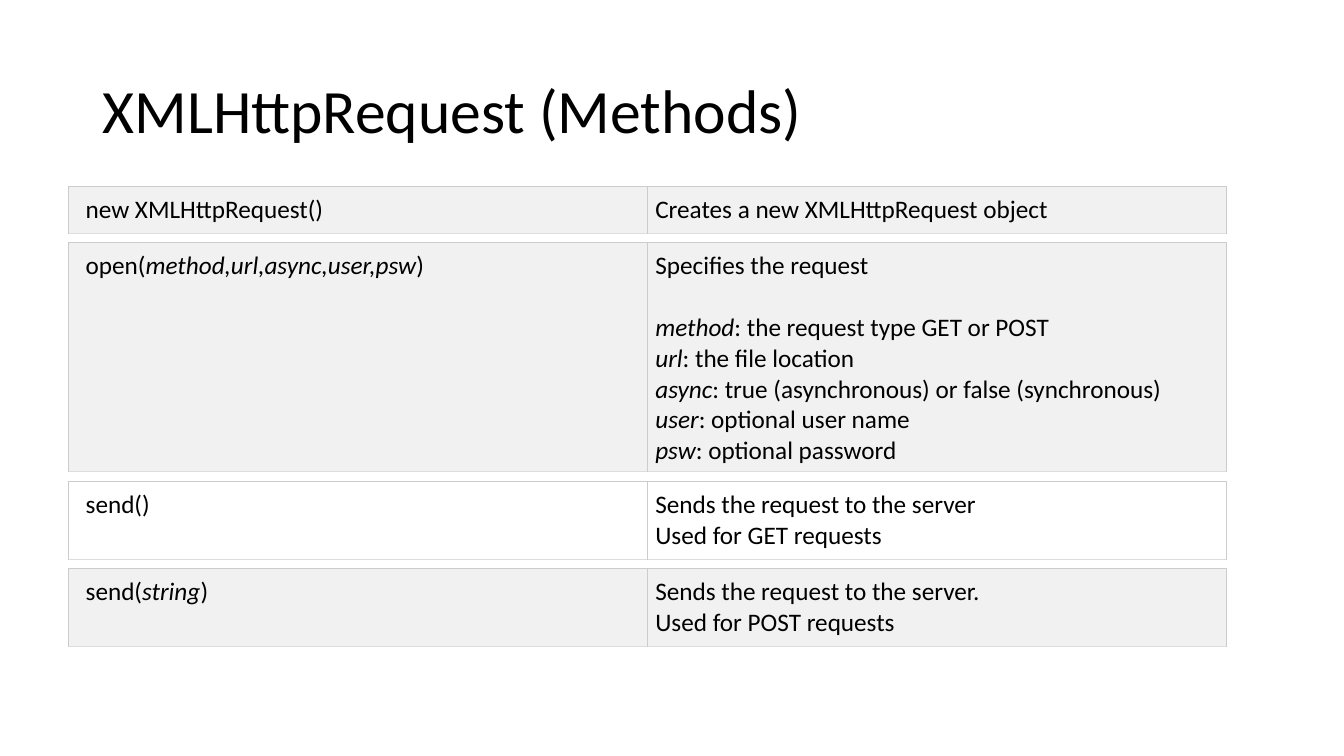
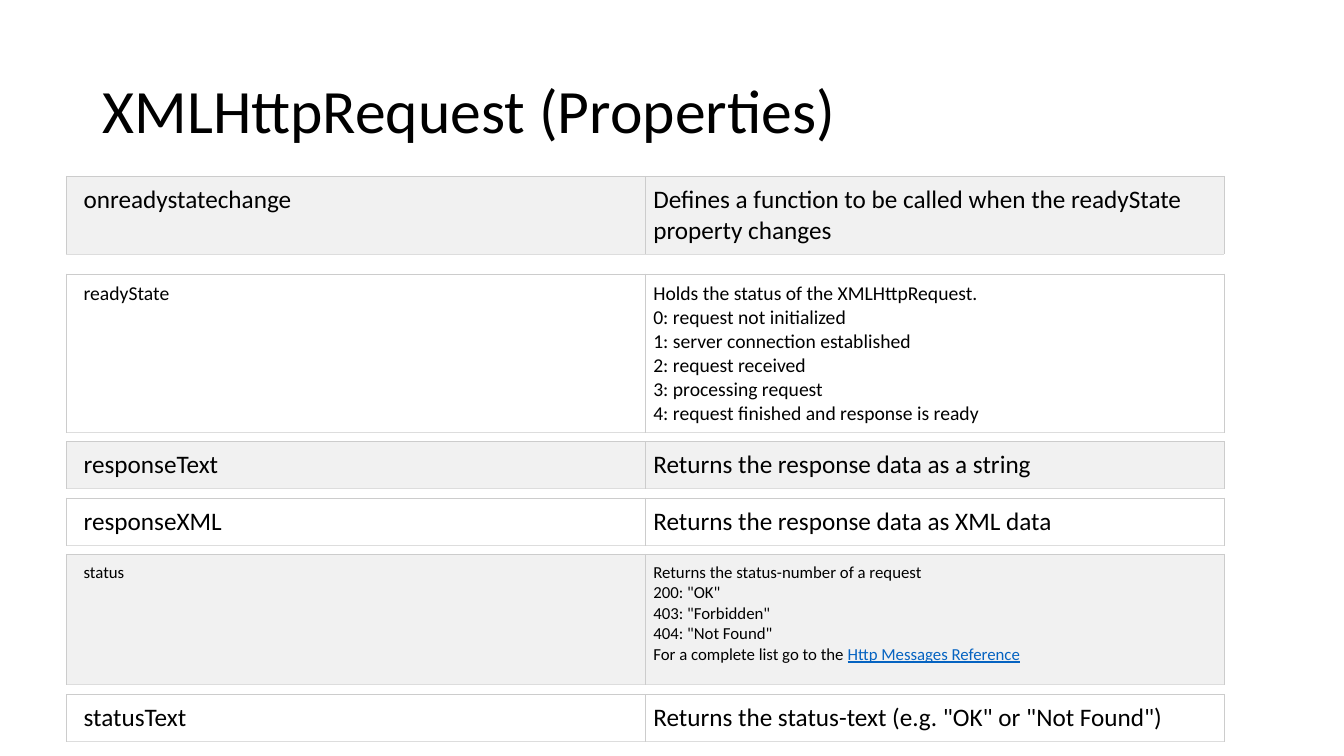
from pptx import Presentation
from pptx.dml.color import RGBColor
from pptx.enum.text import MSO_ANCHOR
from pptx.oxml import parse_xml
from pptx.oxml.ns import nsdecls
from pptx.util import Inches, Pt

FONT = "Calibri"
BLACK, WHITE, GREY, LINK_BLUE = "000000", "FFFFFF", "F1F1F1", "0563C1"
BORDERS = {"lnL": "CCCCCC", "lnR": "CCCCCC", "lnT": "CCCCCC", "lnB": "DDDDDD"}
BORDER_WIDTH = Pt(0.75)
COLUMN_WIDTH = 5.74
MARGIN, FIRST_MARGIN = 0.08, 0.17

ITALIC = {"italic": True}
LINK = {"underline": True, "color": LINK_BLUE}

# Each row: top, height, size, fill, name, description[, style of *marked* text]
SLIDES = [
    {"title": "XMLHttpRequest (Methods)", "left": 0.68, "rows": [
        (1.85, 0.47, 18, GREY, "new XMLHttpRequest()",
         "Creates a new XMLHttpRequest object"),
        (2.41, 2.27, 18, GREY, "open(*method,url,async,user,psw*)",
         "Specifies the request\n\n"
         "*method*: the request type GET or POST\n"
         "*url*: the file location\n"
         "*async*: true (asynchronous) or false (synchronous)\n"
         "*user*: optional user name\n"
         "*psw*: optional password"),
        (4.78, 0.77, 18, WHITE, "send()",
         "Sends the request to the server\nUsed for GET requests"),
        (5.64, 0.77, 18, GREY, "send(*string*)",
         "Sends the request to the server.\nUsed for POST requests"),
    ]},
    {"title": "XMLHttpRequest (Properties)", "left": 0.66, "rows": [
        (1.75, 0.77, 18, GREY, "onreadystatechange",
         "Defines a function to be called when the readyState property changes"),
        (2.72, 1.57, 14, WHITE, "readyState",
         "Holds the status of the XMLHttpRequest.\n"
         "0: request not initialized\n"
         "1: server connection established\n"
         "2: request received\n"
         "3: processing request\n"
         "4: request finished and response is ready"),
        (4.38, 0.47, 18, GREY, "responseText",
         "Returns the response data as a string"),
        (4.94, 0.47, 18, WHITE, "responseXML",
         "Returns the response data as XML data"),
        (5.5, 1.29, 12, GREY, "status",
         "Returns the status-number of a request\n"
         '200: "OK"\n403: "Forbidden"\n404: "Not Found"\n'
         "For a complete list go to the *Http Messages Reference*", LINK),
        (6.89, 0.47, 18, WHITE, "statusText",
         'Returns the status-text (e.g. "OK" or "Not Found")'),
    ]},
]


def rgb(color):
    return RGBColor.from_string(color)


def add_run(p, text, size, color=BLACK, **style):
    r = p.add_run()
    r.text = text
    r.font.color.rgb = rgb(color)
    for name, value in {"name": FONT, "size": Pt(size), **style}.items():
        setattr(r.font, name, value)


def write_marked(p, text, size, style):
    """Write text with line breaks; parts between asterisks get the style."""
    for i, line in enumerate(text.split("\n")):
        if i:
            p.add_line_break()
        for j, part in enumerate(line.split("*")):
            if part:
                add_run(p, part, size, **(style if j % 2 else {}))
    # Empty lines take their height from the paragraph's font
    p.font.size = Pt(size)


def add_borders(cell):
    tc_pr = cell._tc.get_or_add_tcPr()
    for side, color in BORDERS.items():
        tc_pr.append(parse_xml(
            f'<a:{side} {nsdecls("a")} w="{BORDER_WIDTH}"><a:solidFill>'
            f'<a:srgbClr val="{color}"/></a:solidFill></a:{side}>'))


def add_title(s, text):
    tf = s.shapes.add_textbox(
        Inches(0.92), Inches(0.4), Inches(11.5), Inches(1.45)).text_frame
    tf.word_wrap = True
    tf.vertical_anchor = MSO_ANCHOR.MIDDLE
    p = tf.paragraphs[0]
    p.line_spacing = 0.9
    add_run(p, text, 44)


def add_entry(s, left, top, height, size, fill, name, description, style=ITALIC):
    """Add one name and its description as a one-row table."""
    table = s.shapes.add_table(
        1, 2, Inches(left), Inches(top),
        Inches(2 * COLUMN_WIDTH), Inches(height)).table
    table.first_row = table.horz_banding = False
    for i, text in enumerate((name, description)):
        table.columns[i].width = Inches(COLUMN_WIDTH)
        cell = table.cell(0, i)
        for side in ("left", "right", "top", "bottom"):
            setattr(cell, f"margin_{side}", Inches(MARGIN))
        if i == 0:
            cell.margin_left = Inches(FIRST_MARGIN)
        add_borders(cell)
        cell.fill.solid()
        cell.fill.fore_color.rgb = rgb(fill)
        write_marked(cell.text_frame.paragraphs[0], text, size, style)


def main():
    prs = Presentation()
    prs.slide_width, prs.slide_height = Inches(13.33), Inches(7.5)
    for content in SLIDES:
        s = prs.slides.add_slide(prs.slide_layouts[6])
        add_title(s, content["title"])
        for row in content["rows"]:
            add_entry(s, content["left"], *row)
    prs.save("out.pptx")


if __name__ == "__main__":
    main()
